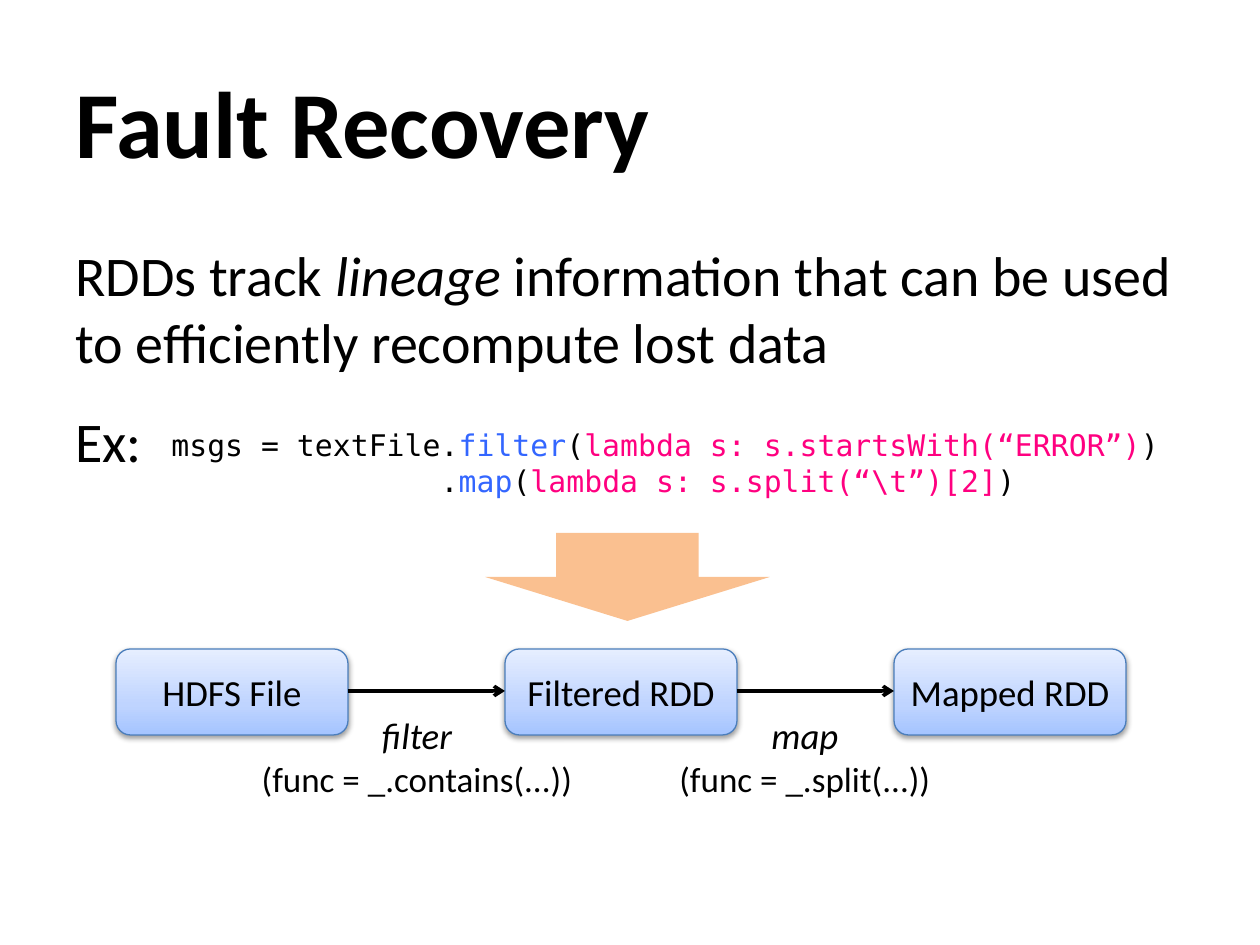
import copy
from dataclasses import dataclass

import lxml.etree
import pptx
import pptx.dml.color
import pptx.enum.shapes
import pptx.enum.text
import pptx.oxml
import pptx.oxml.ns
import pptx.util

PX = pptx.util.Inches(1) // 126
SHAPE = pptx.enum.shapes.MSO_SHAPE
ALIGN = pptx.enum.text.PP_ALIGN
ANCHOR = pptx.enum.text.MSO_ANCHOR
A = "http://schemas.openxmlformats.org/drawingml/2006/main"


@dataclass(frozen=True)
class Theme:
    text_font: str = "Calibri"
    code_font: str = "DejaVu Sans Mono"
    ink: str = "000000"
    method: str = "3366FF"
    closure: str = "FF0080"
    arrow: str = "FAC090"
    box_line: str = "4B7EBC"
    box_stops: tuple = ((0, "A4C4FF"), (0.35, "BFD4FF"), (1, "E6EEFF"))
    title_size: int = 54
    body_size: int = 32
    label_size: int = 21
    func_size: int = 20
    code_size: int = 17


def rgb(color):
    return pptx.dml.color.RGBColor.from_string(color)


def write(frame, paragraphs, *, font, size, color, bold=False,
          align=ALIGN.LEFT, anchor=ANCHOR.TOP, wrap=True, gap=0):
    """Fill a frame; each paragraph is a list of (text, overrides) runs, "\\n" being a line break."""
    frame.word_wrap = wrap
    frame.vertical_anchor = anchor
    for index, runs in enumerate(paragraphs):
        paragraph = frame.add_paragraph() if index else frame.paragraphs[0]
        paragraph.alignment = align
        paragraph.space_before = pptx.util.Pt(gap if index else 0)
        for text, override in runs:
            if text == "\n":
                paragraph.add_line_break()
                continue
            run = paragraph.add_run()
            run.text = text
            run.font.name = font
            run.font.size = pptx.util.Pt(override.get("size", size))
            run.font.color.rgb = rgb(override.get("color", color))
            run.font.bold = bold
            run.font.italic = override.get("italic", False)


class SlideBuilder:
    def __init__(self, slide, theme):
        self.slide = slide
        self.theme = theme

    def text(self, left, top, width, height, paragraphs, **style):
        box = self.slide.shapes.add_textbox(left * PX, top * PX, width * PX, height * PX)
        defaults = {"font": self.theme.text_font, "color": self.theme.ink}
        write(box.text_frame, paragraphs, **{**defaults, **style})

    def shape(self, kind, left, top, width, height):
        shape = self.slide.shapes.add_shape(
            kind, left * PX, top * PX, width * PX, height * PX)
        shape.shadow.inherit = False
        return shape

    def down_arrow(self, left, top, width, height):
        arrow = self.shape(SHAPE.DOWN_ARROW, left, top, width, height)
        arrow.fill.solid()
        arrow.fill.fore_color.rgb = rgb(self.theme.arrow)
        arrow.line.fill.background()

    def dataset(self, left, top, width, height, name):
        box = self.shape(SHAPE.ROUNDED_RECTANGLE, left, top, width, height)
        box.line.color.rgb = rgb(self.theme.box_line)
        box.line.width = pptx.util.Pt(0.75)
        self.shade(box.fill)
        self.drop_shadow(box)
        frame = box.text_frame
        frame.margin_left = frame.margin_right = 0
        write(frame, [[(name, {})]], font=self.theme.text_font, color=self.theme.ink,
              size=self.theme.label_size, align=ALIGN.CENTER, anchor=ANCHOR.MIDDLE)

    def shade(self, fill):
        """Give a fill the three-stop box gradient, running from bottom to top."""
        fill.gradient()
        fill.gradient_angle = 90
        stop_list = fill._xPr.find(f".//{{{A}}}gsLst")
        stop_list.insert(1, copy.deepcopy(stop_list[0]))
        for element, stop, (position, color) in zip(
                stop_list, fill.gradient_stops, self.theme.box_stops):
            stop.color.rgb = rgb(color)
            element.set("pos", str(round(position * 100000)))

    def drop_shadow(self, shape):
        effects = shape._element.spPr.find(f"{{{A}}}effectLst")
        effects.append(pptx.oxml.parse_xml(
            f'<a:outerShdw xmlns:a="{A}" blurRad="40000" dist="20000" dir="5400000" '
            f'rotWithShape="0"><a:srgbClr val="{self.theme.ink}">'
            '<a:alpha val="38000"/></a:srgbClr></a:outerShdw>'))

    def link(self, start, end, y):
        line = self.slide.shapes.add_connector(
            pptx.enum.shapes.MSO_CONNECTOR.STRAIGHT, start * PX, y * PX, end * PX, y * PX)
        line.line.color.rgb = rgb(self.theme.ink)
        line.line.width = pptx.util.Pt(2)
        outline = line.line._get_or_add_ln()
        lxml.etree.SubElement(outline, pptx.oxml.ns.qn("a:tailEnd"), type="arrow")
        lxml.etree.SubElement(line._element.spPr, pptx.oxml.ns.qn("a:effectLst"))


def code_line(lead, method, closure, theme):
    return [(lead, {}), (method, {"color": theme.method}), ("(", {}),
            (closure, {"color": theme.closure}), (")", {})]


def main():
    deck = pptx.Presentation()
    deck.slide_width = pptx.util.Inches(10)
    deck.slide_height = pptx.util.Inches(7.5)
    theme = Theme()
    page = SlideBuilder(deck.slides.add_slide(deck.slide_layouts[6]), theme)

    page.text(63, 42, 1134, 158, [[("Fault Recovery", {})]],
              size=theme.title_size, bold=True, anchor=ANCHOR.MIDDLE)
    page.text(63, 234, 1144, 575, [
        [("RDDs track ", {}), ("lineage", {"italic": True}),
         (" information that can be used to efficiently recompute lost data", {})],
        [("Ex:", {})],
    ], size=theme.body_size, gap=18)
    page.text(159, 421, 1067, 84, [
        code_line("msgs = textFile.", "filter", "lambda s: s.startsWith(“ERROR”)", theme),
        code_line("               .", "map", "lambda s: s.split(“\\t”)[2]", theme),
    ], font=theme.code_font, size=theme.code_size)

    first, pitch, top, width, height = 116, 389, 649, 232, 86
    for column, name in enumerate(("HDFS File", "Filtered RDD", "Mapped RDD")):
        page.dataset(first + column * pitch, top, width, height, name)

    page.down_arrow(485, 533, 285, 88)

    label_width = 342
    steps = (("filter", "(func = _.contains(...))"), ("map", "(func = _.split(...))"))
    for column, (operation, function) in enumerate(steps):
        start = first + column * pitch + width
        end = first + (column + 1) * pitch
        page.link(start, end, top + height // 2 - 1)
        center = 417 + column * 388
        page.text(center - label_width // 2, 707, label_width, 100, [[
            (operation, {"italic": True}), ("\n", {}), (function, {"size": theme.func_size}),
        ]], size=theme.label_size, align=ALIGN.CENTER, wrap=False)

    deck.save("out.pptx")


if __name__ == "__main__":
    main()
